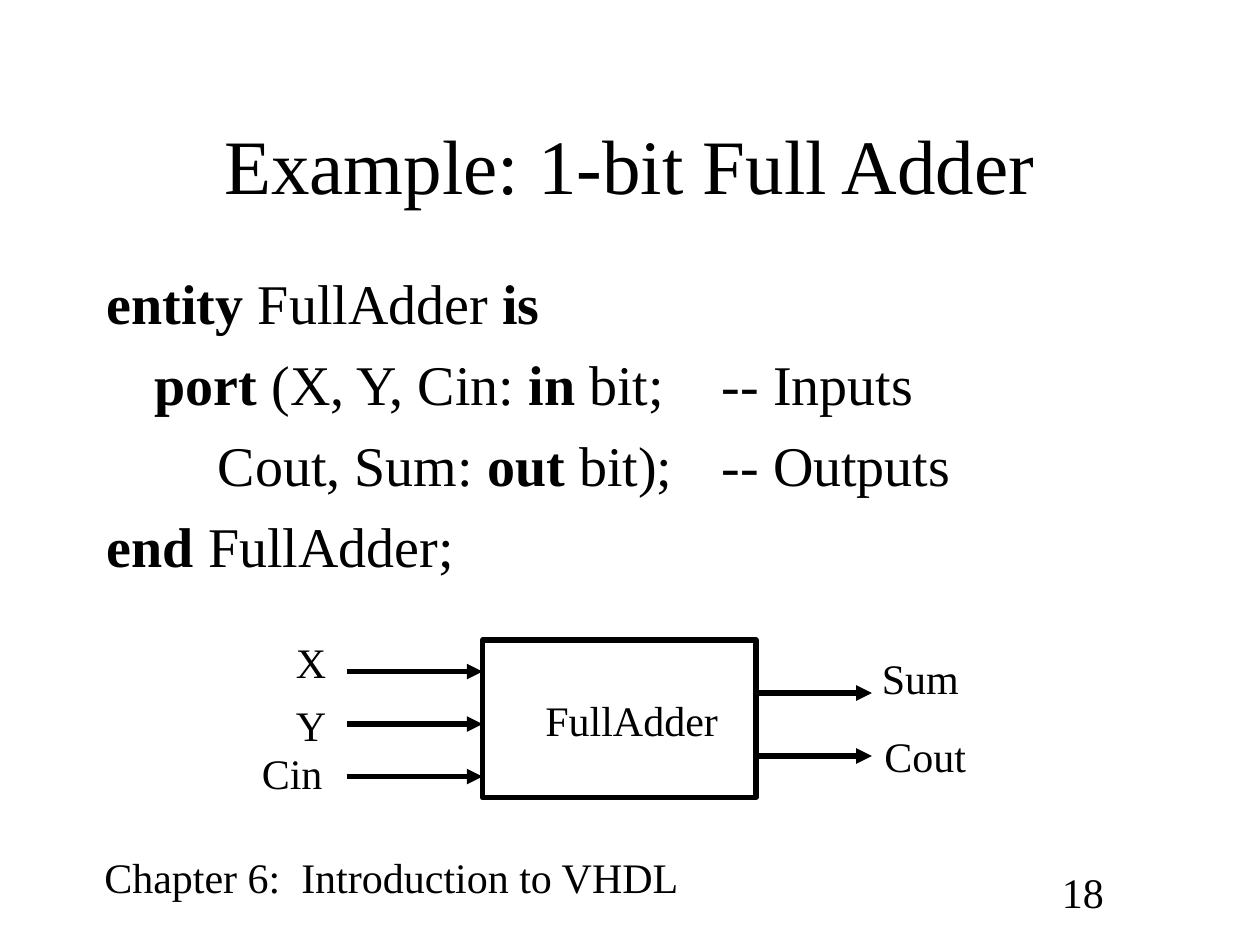
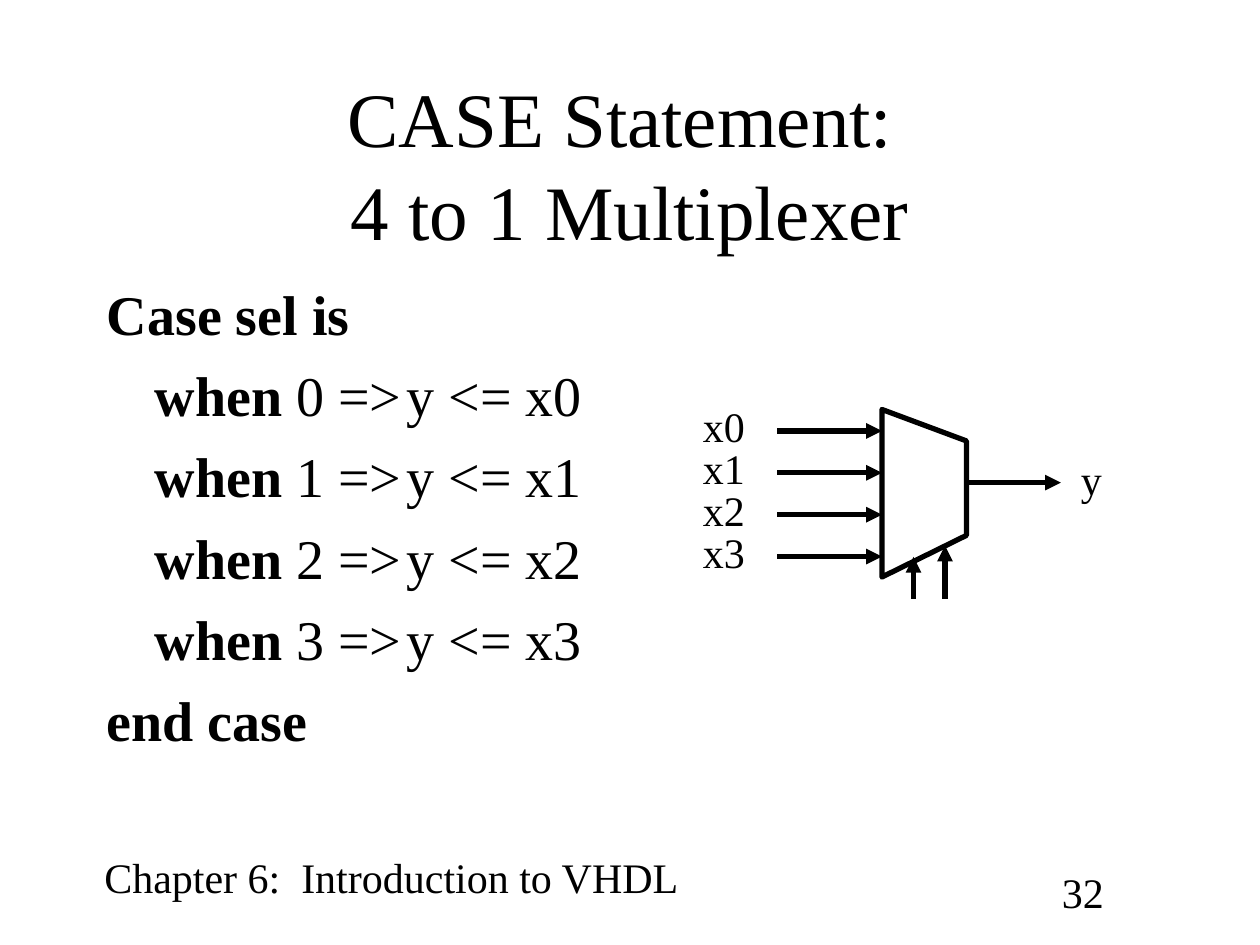
import pptx
import pptx.dml.color
import pptx.enum.shapes
import pptx.enum.text
import pptx.oxml.ns
from lxml import etree
from pptx.util import Inches

FONT = "Times New Roman"
INK = "000000"
PAPER = "FFFFFF"
LINE_PT = 3
TITLE_PT, CODE_PT, LABEL_PT = 44, 32, 24
HANG = 0.38
LABEL_H = 0.5
CHAPTER = "Chapter 6:  Introduction to VHDL"

ADDER_CODE = [
    "**entity** FullAdder **is**",
    "\t**port** (X, Y, Cin: **in** bit;\t-- Inputs",
    "\t\tCout, Sum: **out** bit);\t-- Outputs",
    "**end** FullAdder;",
]
ADDER_TABS = range(8)
CASE_CODE = (
    ["**Case sel is**"]
    + [f"\t**when** {n} =>\ty <= x{n}" for n in range(4)]
    + ["**end case**"]
)
CASE_TABS = (0, 2.29)


def color(hex_code):
    return pptx.dml.color.RGBColor.from_string(hex_code)


def set_tabs(p, stops):
    """Add left tab stops, in inches, to a paragraph."""
    tabs = etree.SubElement(p._p.get_or_add_pPr(), pptx.oxml.ns.qn("a:tabLst"))
    for stop in stops:
        tab = etree.SubElement(tabs, pptx.oxml.ns.qn("a:tab"))
        tab.set("pos", str(Inches(stop)))
        tab.set("algn", "l")


def add_text(slide, box, lines, size=LABEL_PT, wrap=False, center=False,
             middle=False, hang=0, gap=0, tabs=()):
    """Write paragraphs; ** switches bold and a newline breaks the line."""
    sp = slide.shapes.add_textbox(*map(Inches, box))
    tf = sp.text_frame
    tf.word_wrap = wrap
    if middle:
        tf.vertical_anchor = pptx.enum.text.MSO_ANCHOR.MIDDLE
    for i, line in enumerate(lines):
        p = tf.add_paragraph() if i else tf.paragraphs[0]
        if center:
            p.alignment = pptx.enum.text.PP_ALIGN.CENTER
        if i and gap:
            p.space_before = pptx.util.Pt(gap)
        if hang:
            pPr = p._p.get_or_add_pPr()
            pPr.set("marL", str(Inches(hang)))
            pPr.set("indent", str(-Inches(hang)))
        if tabs:
            set_tabs(p, tabs)
        for j, part in enumerate(line.split("**")):
            for k, piece in enumerate(part.split("\n")):
                if k:
                    p.add_line_break()
                if piece:
                    r = p.add_run()
                    r.text = piece
                    r.font.name = FONT
                    r.font.size = pptx.util.Pt(size)
                    r.font.bold = j % 2 == 1
                    r.font.color.rgb = color(INK)
    return sp


def add_label(slide, x, y, width, text):
    return add_text(slide, (x, y, width, LABEL_H), [text])


def style_line(sp):
    sp.line.color.rgb = color(INK)
    sp.line.width = pptx.util.Pt(LINE_PT)


def style_outline(sp):
    sp.shadow.inherit = False
    sp.fill.background()
    style_line(sp)


def add_arrow(slide, x1, y1, x2, y2):
    cxn = slide.shapes.add_connector(
        pptx.enum.shapes.MSO_CONNECTOR.STRAIGHT, *map(Inches, (x1, y1, x2, y2)))
    style_line(cxn)
    head = etree.SubElement(cxn.line._get_or_add_ln(), pptx.oxml.ns.qn("a:tailEnd"))
    head.set("type", "triangle")
    etree.SubElement(cxn._element.spPr, pptx.oxml.ns.qn("a:effectLst"))


def new_slide(prs, title, number):
    """Blank slide with the shared title, chapter footer and page number."""
    slide = prs.slides.add_slide(prs.slide_layouts[6])
    slide.background.fill.solid()
    slide.background.fill.fore_color.rgb = color(PAPER)
    add_label(slide, 0.73, 6.71, 4.84, CHAPTER)
    add_text(slide, (8.33, 6.83, 0.92, LABEL_H), [str(number)], wrap=True)
    add_text(slide, (0.75, 0.67, 8.5, 1.25), [title], size=TITLE_PT,
             wrap=True, center=True, middle=True)
    return slide


def add_code(slide, box, lines, tabs):
    add_text(slide, box, lines, size=CODE_PT, wrap=True, hang=HANG, gap=8, tabs=tabs)


def add_adder(slide, x, y, w, h):
    """Full adder block with three inputs and two outputs."""
    sp = slide.shapes.add_shape(pptx.enum.shapes.MSO_SHAPE.RECTANGLE,
                                *map(Inches, (x, y, w, h)))
    style_outline(sp)

    # Inputs
    for i in range(3):
        wire_y = y + 0.25 + i * h / 3
        add_arrow(slide, x - 1.08, wire_y, x, wire_y)
    for text, dx, dy, width in (("X", -1.58, -0.08, 0.44),
                                ("Y", -1.58, 0.42, 0.44),
                                ("Cin", -1.85, 0.8, 0.68)):
        add_label(slide, x + dx, y + dy, width, text)

    # Outputs
    right = x + w
    for text, wire_dy, dx, dy, width in (("Sum", 0.42, 0.9, 0.05, 0.81),
                                         ("Cout", 0.92, 0.92, 0.67, 0.85)):
        add_arrow(slide, right, y + wire_dy, right + 0.92, y + wire_dy)
        add_label(slide, right + dx, y + dy, width, text)

    add_label(slide, x + 0.4, y + 0.38, 1.57, "FullAdder")


def add_mux(slide, x, y, w, h):
    """Multiplexer with four inputs, two select lines and one output."""
    right = x + w
    corners = [(right, y + 0.25), (right, y + 1), (x, y + h)]
    builder = slide.shapes.build_freeform(Inches(x), Inches(y))
    builder.add_line_segments([(Inches(cx), Inches(cy)) for cx, cy in corners])
    style_outline(builder.convert_to_shape())

    # Inputs
    for i in range(4):
        wire_y = y + 0.17 + i * h / 4
        add_arrow(slide, x - 0.83, wire_y, x, wire_y)
        add_label(slide, x - 1.52, wire_y - 0.29, 0.53, f"x{i}")

    # Select lines
    for dx, tip in ((0.25, 1.17), (0.5, 1.08)):
        add_arrow(slide, x + dx, y + 1.5, x + dx, y + tip)

    # Output
    add_arrow(slide, right, y + 0.58, right + 0.75, y + 0.58)
    add_label(slide, right + 0.81, y + 0.3, 0.36, "y")


def adder_slide(prs):
    slide = new_slide(prs, "Example: 1-bit Full Adder", 18)
    add_code(slide, (0.75, 2.08, 8.5, 4.5), ADDER_CODE, ADDER_TABS)
    add_adder(slide, 3.83, 5.08, 2.17, 1.25)


def case_slide(prs):
    slide = new_slide(prs, "CASE Statement: \n4 to 1 Multiplexer", 32)
    add_code(slide, (0.75, 2.17, 8.5, 4.5), CASE_CODE, CASE_TABS)
    add_mux(slide, 7, 3.25, 0.67, 1.33)


def main():
    prs = pptx.Presentation()
    prs.slide_width, prs.slide_height = Inches(10), Inches(7.5)
    adder_slide(prs)
    case_slide(prs)
    prs.save("out.pptx")


if __name__ == "__main__":
    main()
